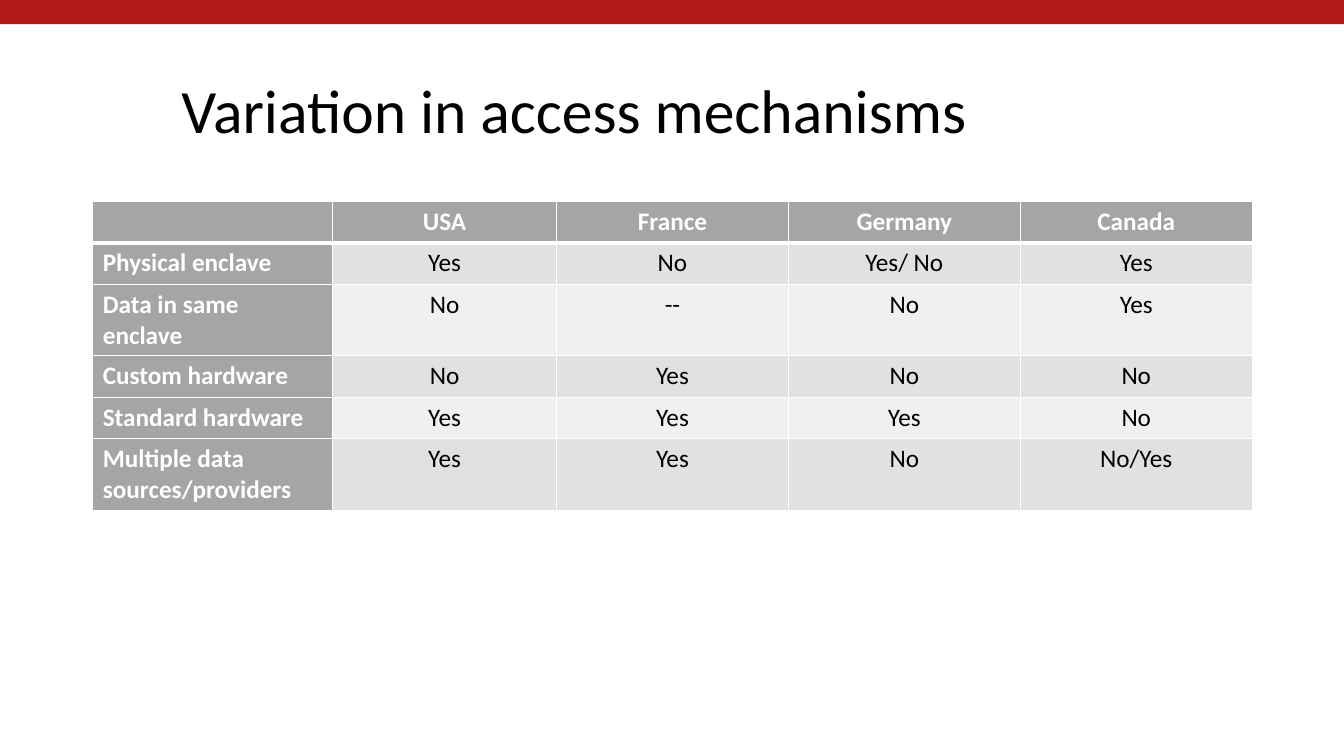
from dataclasses import dataclass

from lxml import etree
from pptx import Presentation
from pptx.dml.color import RGBColor
from pptx.enum.shapes import MSO_SHAPE
from pptx.enum.text import MSO_ANCHOR, MSO_AUTO_SIZE, PP_ALIGN
from pptx.oxml.ns import qn
from pptx.util import Emu, Pt

RECTANGLE = MSO_SHAPE.RECTANGLE
MIDDLE = MSO_ANCHOR.MIDDLE
NO_AUTOFIT = MSO_AUTO_SIZE.NONE
LEFT, CENTER = PP_ALIGN.LEFT, PP_ALIGN.CENTER
EMU_PER_PX = 9144  # 100 px to the inch


@dataclass(frozen=True)
class Theme:
    font: str = "Calibri"
    title_size: int = 44
    table_size: int = 18
    banner: str = "B31B1B"
    text: str = "000000"
    heading_text: str = "FFFFFF"
    heading_fill: str = "A5A5A5"
    bands: tuple = ("E1E1E1", "F0F0F0")
    border: str = "FFFFFF"
    thin_line: int = 1
    thick_line: int = 3


THEME = Theme()

COLUMN_WIDTHS = (238, 222, 230, 230, 230)
ROW_HEIGHT = 41
ACCESS_ROWS = (
    ("", "USA", "France", "Germany", "Canada"),
    ("Physical enclave", "Yes", "No", "Yes/ No", "Yes"),
    ("Data in same enclave", "No", "--", "No", "Yes"),
    ("Custom hardware", "No", "Yes", "No", "No"),
    ("Standard hardware", "Yes", "Yes", "Yes", "No"),
    ("Multiple data sources/providers", "Yes", "Yes", "No", "No/Yes"),
)


def px(length):
    return Emu(length * EMU_PER_PX)


def style_font(font, size, color, bold=False):
    font.name = THEME.font
    font.size = Pt(size)
    font.bold = bold
    font.color.rgb = RGBColor.from_string(color)


def add_banner(page, width, height):
    banner = page.shapes.add_shape(RECTANGLE, 0, 0, px(width), px(height))
    banner.shadow.inherit = False
    banner.fill.solid()
    banner.fill.fore_color.rgb = RGBColor.from_string(THEME.banner)
    banner.line.fill.background()


def set_title(page, text, left, top, width, height):
    title = page.shapes.title
    title.left, title.top = px(left), px(top)
    title.width, title.height = px(width), px(height)
    frame = title.text_frame
    frame.text = text
    frame.word_wrap = True
    frame.auto_size = NO_AUTOFIT
    frame.vertical_anchor = MIDDLE
    para = frame.paragraphs[0]
    para.alignment = LEFT
    para.line_spacing = 0.9
    style_font(para.runs[0].font, THEME.title_size, THEME.text)


def set_borders(cell, top, bottom):
    """Draw all four edges; only top and bottom vary in weight."""
    weights = {"L": THEME.thin_line, "R": THEME.thin_line, "T": top, "B": bottom}
    properties = cell._tc.get_or_add_tcPr()
    for position, (side, weight) in enumerate(weights.items()):
        line = etree.Element(qn(f"a:ln{side}"), w=str(Pt(weight)))
        fill = etree.SubElement(line, qn("a:solidFill"))
        etree.SubElement(fill, qn("a:srgbClr"), val=THEME.border)
        properties.insert(position, line)


def fill_cell(cell, text, row, column):
    is_heading = row == 0 or column == 0
    fill = THEME.heading_fill if is_heading else THEME.bands[(row - 1) % 2]
    cell.fill.solid()
    cell.fill.fore_color.rgb = RGBColor.from_string(fill)

    # The heading row is set off by a heavier line
    set_borders(
        cell,
        top=THEME.thick_line if row == 1 else THEME.thin_line,
        bottom=THEME.thick_line if row == 0 else THEME.thin_line,
    )

    cell.text = text
    para = cell.text_frame.paragraphs[0]
    para.alignment = LEFT if column == 0 else CENTER
    color = THEME.heading_text if is_heading else THEME.text
    style_font(para.font, THEME.table_size, color, is_heading)
    for span in para.runs:
        style_font(span.font, THEME.table_size, color, is_heading)


def add_access_table(page, left, top):
    frame = page.shapes.add_table(
        len(ACCESS_ROWS), len(COLUMN_WIDTHS), px(left), px(top),
        px(sum(COLUMN_WIDTHS)), px(ROW_HEIGHT * len(ACCESS_ROWS)),
    )
    table = frame.table
    table.first_col = True
    for column, width in zip(table.columns, COLUMN_WIDTHS):
        column.width = px(width)
    for row, texts in enumerate(ACCESS_ROWS):
        for column, text in enumerate(texts):
            fill_cell(table.cell(row, column), text, row, column)


def main():
    deck = Presentation()
    deck.slide_width, deck.slide_height = px(1333), px(750)
    page = deck.slides.add_slide(deck.slide_layouts.get_by_name("Title Only"))

    # Banner and title
    add_banner(page, 1333, 24)
    set_title(page, "Variation in access mechanisms", 170, 40, 1070, 145)

    # Comparison by country
    add_access_table(page, 92, 200)

    deck.save("out.pptx")


if __name__ == "__main__":
    main()
